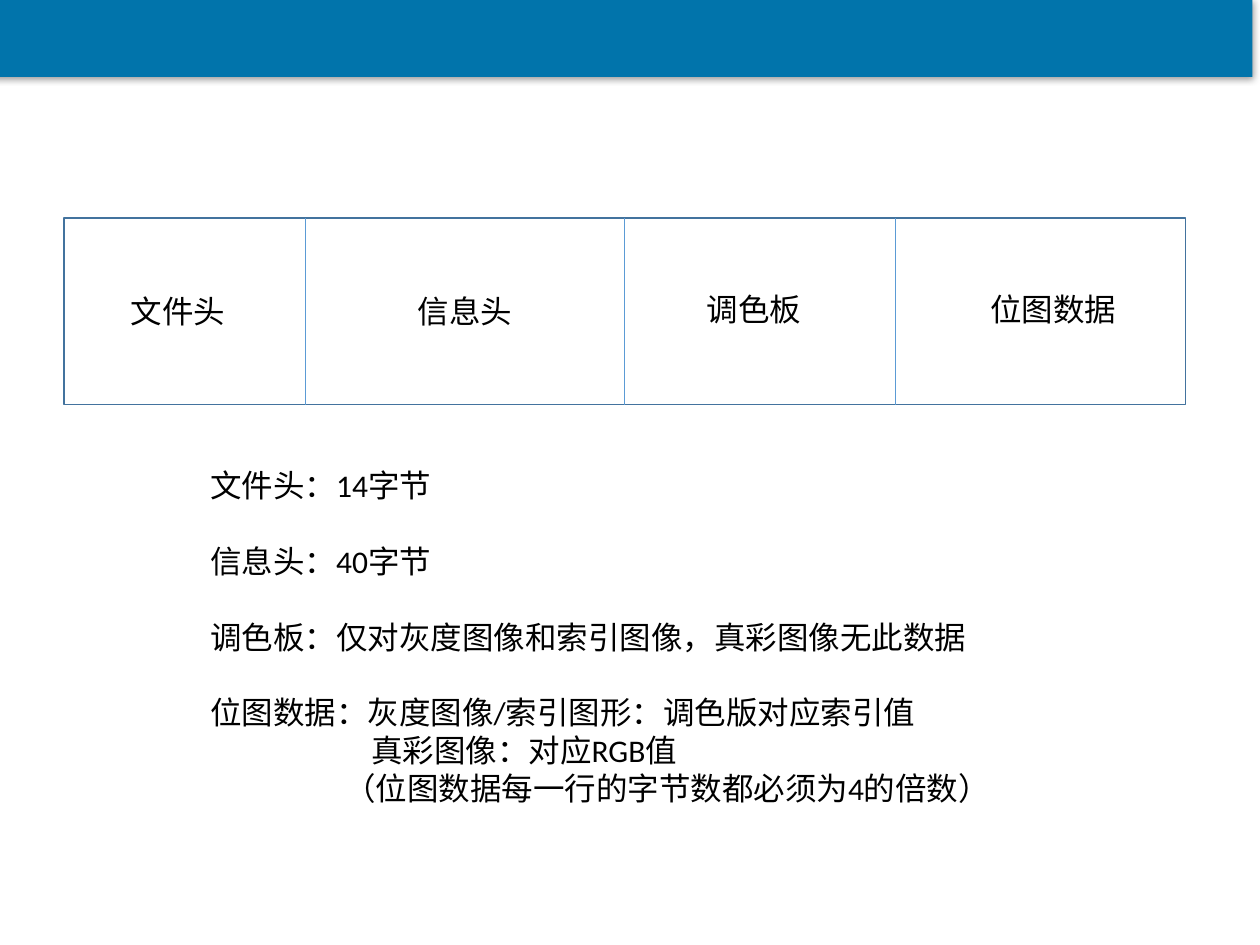
from lxml import etree
from pptx import Presentation
from pptx import util as u
from pptx.dml.color import RGBColor
from pptx.enum import shapes, text
from pptx.oxml import ns

COLORS = {"header": "0174AB", "frame": "43739E", "divider": "5B9BD5",
          "paper": "FFFFFF", "ink": "000000"}


def add_rectangle(left, top, width, height, fill):
    shape = slide.shapes.add_shape(shapes.MSO_SHAPE.RECTANGLE, u.Pt(left), u.Pt(top), u.Pt(width), u.Pt(height))
    shape.shadow.inherit = False
    shape.fill.solid()
    shape.fill.fore_color.rgb = RGBColor.from_string(COLORS[fill])
    shape.line.fill.background()
    return shape


def add_text(left, top, width, height, lines):
    shape = slide.shapes.add_textbox(u.Pt(left), u.Pt(top), u.Pt(width), u.Pt(height))
    frame = shape.text_frame
    frame.word_wrap = True
    frame.auto_size = text.MSO_AUTO_SIZE.SHAPE_TO_FIT_TEXT
    for index, (wording, indent, gap) in enumerate(lines):
        paragraph = frame.add_paragraph() if index else frame.paragraphs[0]
        paragraph.space_after = u.Pt(gap)
        if indent:
            paragraph._p.get_or_add_pPr().set("marL", str(u.Pt(indent)))
        run = paragraph.add_run()
        run.text = wording
        run.font.name = "Calibri"
        run.font.size = u.Pt(18)
        run.font.color.rgb = RGBColor.from_string(COLORS["ink"])


presentation = Presentation()
presentation.slide_width = u.Pt(720)
presentation.slide_height = u.Pt(540)
slide = presentation.slides.add_slide(presentation.slide_layouts[6])

header = add_rectangle(-4.3, 0, 720, 43.9, "header")
effects = header._element.spPr.find(ns.qn("a:effectLst"))
shadow = etree.SubElement(effects, ns.qn("a:outerShdw"), blurRad=str(u.Pt(4)), dist=str(u.Pt(1)),
                          dir="5400000", algn="t", rotWithShape="0")
shadow_color = etree.SubElement(shadow, ns.qn("a:srgbClr"), val=COLORS["ink"])
etree.SubElement(shadow_color, ns.qn("a:alpha"), val="40000")

frame_top, frame_height = 124.6, 106.6
file_frame = add_rectangle(36.7, frame_top, 640.8, frame_height, "paper")
file_frame.line.color.rgb = RGBColor.from_string(COLORS["frame"])
file_frame.line.width = u.Pt(1)

dividers = []
for x in (174.3, 357.1, 511.9):
    divider = slide.shapes.add_connector(shapes.MSO_CONNECTOR.STRAIGHT, u.Pt(x), u.Pt(frame_top),
                                         u.Pt(x), u.Pt(frame_top + frame_height))
    divider.line.color.rgb = RGBColor.from_string(COLORS["divider"])
    divider.line.width = u.Pt(0.5)
    etree.SubElement(divider._element.spPr, ns.qn("a:effectLst"))
    dividers.append(divider)
dividers[1].begin_connect(file_frame, 0)
dividers[1].end_connect(file_frame, 2)

for label, left, top in (("文件头", 67.7, 163.4), ("信息头", 231.8, 163.4),
                         ("调色板", 396.7, 162), ("位图数据", 558.7, 162)):
    add_text(left, top, 90.7, 29, [(label, 0, 0)])

add_text(113, 262.8, 536.4, 203.8, [
    ("文件头：14字节", 0, 21.7),
    ("信息头：40字节", 0, 21.7),
    ("调色板：仅对灰度图像和索引图像，真彩图像无此数据", 0, 21.7),
    ("位图数据：灰度图像/索引图形：调色版对应索引值", 0, 0),
    ("真彩图像：对应RGB值", 92, 0),
    ("（位图数据每一行的字节数都必须为4的倍数）", 76.5, 0),
])

presentation.save("out.pptx")
